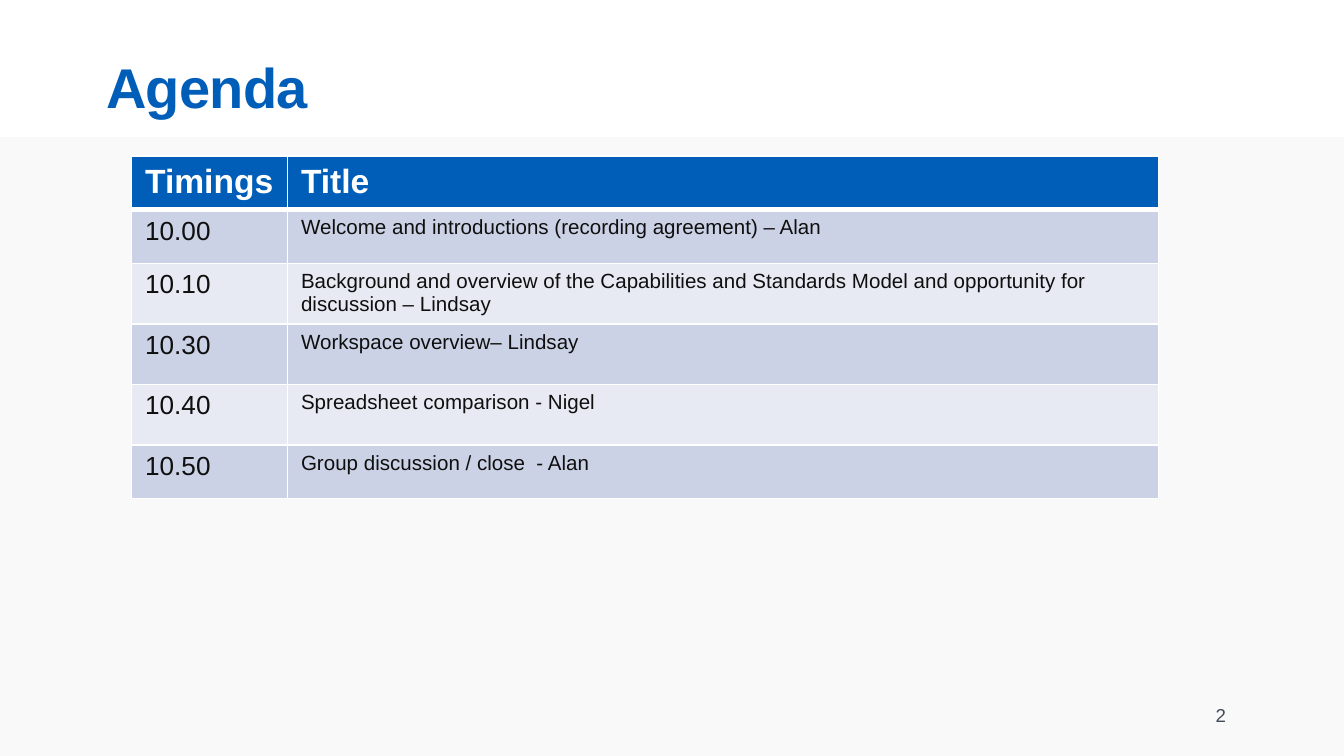
from lxml.etree import SubElement
from pptx import Presentation
from pptx.dml.color import RGBColor
from pptx.enum.shapes import MSO_SHAPE
from pptx.enum.text import MSO_ANCHOR, MSO_AUTO_SIZE, PP_ALIGN
from pptx.oxml.ns import qn
from pptx.util import Inches, Pt

# Content
TITLE = "Agenda"
PAGE = "2"
HEADER = ("Timings", "Title")
AGENDA = [
    ("10.00", "Welcome and introductions (recording agreement) – Alan"),
    ("10.10", "Background and overview of the Capabilities and Standards Model "
              "and opportunity for discussion – Lindsay"),
    ("10.30", "Workspace overview– Lindsay"),
    ("10.40", "Spreadsheet comparison - Nigel"),
    ("10.50", "Group discussion / close  - Alan"),
]

# Style
FONT = "Arial"
BLUE = RGBColor(0x00, 0x5E, 0xB8)
WHITE = RGBColor(0xFF, 0xFF, 0xFF)
PANEL = RGBColor(0xF9, 0xF9, 0xF9)
INK = RGBColor(0x0F, 0x0F, 0x0F)
SLATE = RGBColor(0x42, 0x4D, 0x58)
BANDS = (RGBColor(0xCC, 0xD2, 0xE6), RGBColor(0xE7, 0xEA, 0xF3))

# Layout in inches, on a 16:9 slide
WIDTH = 10
HEIGHT = WIDTH * 9 / 16
PANEL_TOP = 1.02
COLS = (1.16, 6.48)
ROWS = (0.4, 0.4, 0.45, 0.45, 0.45, 0.4)
HEADER_SIZE, BODY_SIZES = 18, (14, 11)


def box(left, top, width, height):
    return [Inches(v) for v in (left, top, width, height)]


def add_run(p, text, size, color, bold=False):
    r = p.add_run()
    r.text = text
    r.font.name, r.font.size, r.font.bold = FONT, Pt(size), bold
    r.font.color.rgb = color
    return r


def add_borders(cell, widths):
    tc_pr = cell._tc.get_or_add_tcPr()
    for side, width in widths.items():
        ln = SubElement(tc_pr, qn(f"a:ln{side}"), w=str(Pt(width)))
        fill = SubElement(ln, qn("a:solidFill"))
        SubElement(fill, qn("a:srgbClr"), val=str(WHITE))


prs = Presentation()
prs.slide_width, prs.slide_height = Inches(WIDTH), Inches(HEIGHT)
s = prs.slides.add_slide(prs.slide_layouts[5])

# Grey content panel
sp = s.shapes.add_shape(MSO_SHAPE.RECTANGLE,
                        *box(0, PANEL_TOP, WIDTH, HEIGHT - PANEL_TOP))
sp.shadow.inherit = False
sp.fill.solid()
sp.fill.fore_color.rgb = PANEL
sp.line.fill.background()

# Title
title = s.shapes.title
title.left, title.top, title.width, title.height = box(0.79, 0.39, 8.35, 0.58)
tf = title.text_frame
tf.margin_left = tf.margin_right = tf.margin_top = tf.margin_bottom = 0
tf.vertical_anchor = MSO_ANCHOR.TOP
tf.auto_size = MSO_AUTO_SIZE.NONE
p = tf.paragraphs[0]
p.alignment = PP_ALIGN.LEFT
r = add_run(p, TITLE, 30, BLUE, bold=True)
r.font._element.set("spc", "-40")

# Agenda table
table = s.shapes.add_table(len(ROWS), len(COLS),
                           *box(0.98, 1.16, sum(COLS), sum(ROWS))).table
for col, width in zip(table.columns, COLS):
    col.width = Inches(width)
for row, height in zip(table.rows, ROWS):
    row.height = Inches(height)

for i, texts in enumerate([HEADER, *AGENDA]):
    is_header = i == 0
    for j, text in enumerate(texts):
        cell = table.cell(i, j)
        add_borders(cell, {"L": 1, "R": 1, "T": 3 if i == 1 else 1,
                           "B": 3 if is_header else 1})
        cell.fill.solid()
        cell.fill.fore_color.rgb = BLUE if is_header else BANDS[(i - 1) % 2]
        add_run(cell.text_frame.paragraphs[0], text,
                HEADER_SIZE if is_header else BODY_SIZES[j],
                WHITE if is_header else INK, bold=is_header)

# Page number
tf = s.shapes.add_textbox(*box(6.89, 5.17, 2.33, 0.3)).text_frame
tf.word_wrap = True
tf.vertical_anchor = MSO_ANCHOR.MIDDLE
p = tf.paragraphs[0]
p.alignment = PP_ALIGN.RIGHT
add_run(p, PAGE, 10, SLATE)

prs.save("out.pptx")
